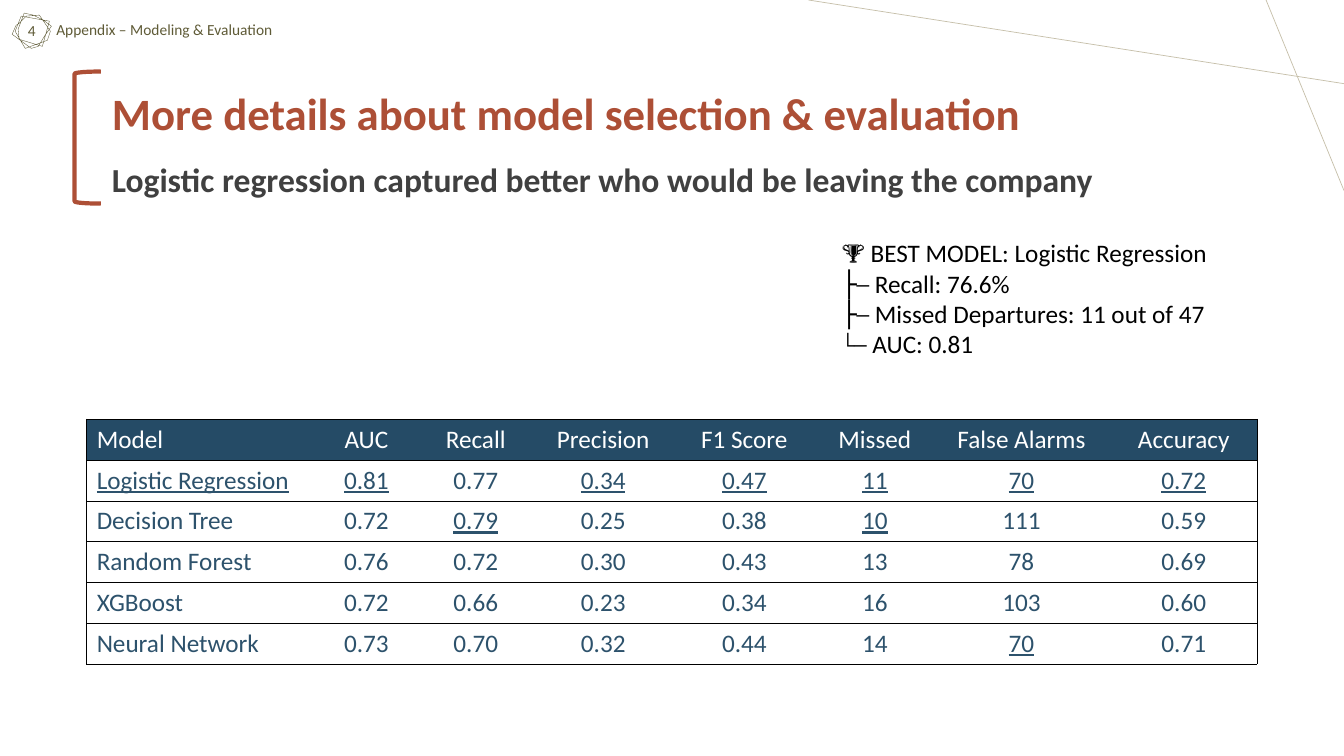
from dataclasses import dataclass

from lxml import etree
from pptx import Presentation
from pptx import util as u
from pptx.dml import color as dml
from pptx.enum import shapes, text
from pptx.oxml import ns

COLORS = {
    "rust": "AD4F36",
    "charcoal": "404040",
    "olive": "5F5B37",
    "sand": "C6BFA9",
    "navy": "254B66",
    "steel": "2D526C",
    "black": "000000",
    "white": "FFFFFF",
}
FONT = "Calibri"
GRID_COLUMNS, GRID_ROWS = 133.33, 75
SLIDE_WIDTH, SLIDE_HEIGHT = u.Emu(12192000), u.Emu(6858000)


@dataclass(frozen=True)
class Area:
    column: float
    row: float
    columns: float
    rows: float

    def box(self) -> tuple[int, int, int, int]:
        return across(self.column), down(self.row), across(self.columns), down(self.rows)


@dataclass(frozen=True)
class Ray:
    start: tuple[float, float]
    end: tuple[float, float]


@dataclass(frozen=True)
class ModelScore:
    model: str
    scores: tuple[str, ...]
    best: frozenset[int] = frozenset()


RAYS = [Ray((133.33, 8.3), (80.2, 0)), Ray((125.6, 0), (133.33, 18.9))]

METRICS = ("AUC", "Recall", "Precision", "F1 Score", "Missed", "False Alarms", "Accuracy")
METRIC_COLUMNS = (22.8, 9.9, 11.8, 13.5, 14.5, 11.4, 17.7, 14.5)
MODELS = [
    ModelScore("Logistic Regression", ("0.81", "0.77", "0.34", "0.47", "11", "70", "0.72"),
               frozenset({0, 1, 3, 4, 5, 6, 7})),
    ModelScore("Decision Tree", ("0.72", "0.79", "0.25", "0.38", "10", "111", "0.59"),
               frozenset({2, 5})),
    ModelScore("Random Forest", ("0.76", "0.72", "0.30", "0.43", "13", "78", "0.69")),
    ModelScore("XGBoost", ("0.72", "0.66", "0.23", "0.34", "16", "103", "0.60")),
    ModelScore("Neural Network", ("0.73", "0.70", "0.32", "0.44", "14", "70", "0.71"),
               frozenset({6})),
]

BEST_MODEL = [
    "🏆 BEST MODEL: Logistic Regression",
    "├─ Recall: 76.6%",
    "├─ Missed Departures: 11 out of 47",
    "└─ AUC: 0.81",
]

BADGE_POINTS = [
    (26, 16), (18, 24), (16, 25), (12, 34), (31, 48), (38, 46), (44, 36), (51, 26),
    (43, 20), (33, 15), (24, 13), (18, 29), (19, 39), (42, 46), (49, 21), (21, 16),
    (15, 31), (25, 48), (47, 40), (50, 31), (39, 15),
]


def across(columns: float) -> int:
    return round(SLIDE_WIDTH * columns / GRID_COLUMNS)


def down(rows: float) -> int:
    return round(SLIDE_HEIGHT * rows / GRID_ROWS)


def rgb(name: str) -> dml.RGBColor:
    return dml.RGBColor.from_string(COLORS[name])


def write(paragraph, content: str, *, size: float, color: str, bold: bool = False,
          underline: bool = False, centered: bool = False) -> None:
    paragraph.alignment = text.PP_ALIGN.CENTER if centered else text.PP_ALIGN.LEFT
    run = paragraph.add_run()
    run.text = content
    run.font.name = FONT
    run.font.size = u.Pt(size)
    run.font.bold = bold
    run.font.underline = underline
    run.font.color.rgb = rgb(color)


def add_ray(slide, ray: Ray) -> None:
    (x1, y1), (x2, y2) = ray.start, ray.end
    line = slide.shapes.add_connector(
        shapes.MSO_CONNECTOR.STRAIGHT, across(x1), down(y1), across(x2), down(y2))
    line.line.color.rgb = rgb("sand")
    line.line.width = u.Pt(0.5)
    etree.SubElement(line._element.spPr, ns.qn("a:effectLst"))


def outline(shape, color: str, width: float) -> None:
    shape.shadow.inherit = False
    shape.fill.background()
    shape.line.color.rgb = rgb(color)
    shape.line.width = u.Pt(width)


def add_lines(slide, area: Area, lines: list[str], *, size: float, color: str) -> None:
    frame = slide.shapes.add_textbox(*area.box()).text_frame
    frame.word_wrap = True
    frame.auto_size = text.MSO_AUTO_SIZE.SHAPE_TO_FIT_TEXT
    for index, content in enumerate(lines):
        paragraph = frame.add_paragraph() if index else frame.paragraphs[0]
        write(paragraph, content, size=size, color=color)


def add_heading(slide) -> None:
    heading = slide.shapes.title
    heading.left, heading.top, heading.width, heading.height = Area(10.1, 5.3, 109.1, 14.5).box()
    frame = heading.text_frame
    frame.word_wrap = True
    frame.auto_size = text.MSO_AUTO_SIZE.SHAPE_TO_FIT_TEXT
    frame.vertical_anchor = text.MSO_ANCHOR.TOP
    paragraph = frame.paragraphs[0]
    paragraph.line_spacing = 1.5
    write(paragraph, "More details about model selection & evaluation",
          size=32, color="rust", bold=True)
    paragraph.add_line_break()
    write(paragraph, "Logistic regression captured better who would be leaving the company",
          size=24, color="charcoal", bold=True)


def add_bracket(slide) -> None:
    bracket = slide.shapes.add_shape(
        shapes.MSO_SHAPE.LEFT_BRACKET, *Area(7.4, 7.1, 2.6, 13.1).box())
    outline(bracket, "rust", 3)


def add_page_badge(slide) -> None:
    builder = slide.shapes.build_freeform(*BADGE_POINTS[0], scale=u.Inches(0.01))
    builder.add_line_segments(BADGE_POINTS[1:], close=True)
    badge = builder.convert_to_shape()
    outline(badge, "olive", 0.25)
    frame = badge.text_frame
    frame.word_wrap = False
    frame.vertical_anchor = text.MSO_ANCHOR.MIDDLE
    write(frame.paragraphs[0], "4", size=11, color="olive", centered=True)


def set_borders(cell, visible: set[str]) -> None:
    properties = cell._tc.get_or_add_tcPr()
    for side in "LRTB":
        border = etree.SubElement(properties, ns.qn(f"a:ln{side}"), w=str(u.Pt(0.5)))
        if side in visible:
            fill = etree.SubElement(border, ns.qn("a:solidFill"))
            etree.SubElement(fill, ns.qn("a:srgbClr"), val=COLORS["black"])
        else:
            etree.SubElement(border, ns.qn("a:noFill"))


def add_scores(slide) -> None:
    records = [ModelScore("Model", METRICS), *MODELS]
    area = Area(8.6, 41.6, sum(METRIC_COLUMNS), 24.3)
    table = slide.shapes.add_table(len(records), len(METRIC_COLUMNS), *area.box()).table
    table.horz_banding = False
    for column, width in zip(table.columns, METRIC_COLUMNS):
        column.width = across(width)
    last = len(METRIC_COLUMNS) - 1
    for r, record in enumerate(records):
        header = r == 0
        for c, content in enumerate((record.model, *record.scores)):
            cell = table.cell(r, c)
            cell.vertical_anchor = text.MSO_ANCHOR.MIDDLE
            set_borders(cell, {"T", "B"} | ({"L"} if c == 0 else set())
                        | ({"R"} if c == last else set()))
            if header:
                cell.fill.solid()
                cell.fill.fore_color.rgb = rgb("navy")
            else:
                cell.fill.background()
            write(cell.text_frame.paragraphs[0], content, size=18,
                  color="white" if header else "steel",
                  underline=c in record.best, centered=c > 0)


def main() -> None:
    deck = Presentation()
    deck.slide_width, deck.slide_height = SLIDE_WIDTH, SLIDE_HEIGHT
    slide = deck.slides.add_slide(deck.slide_layouts[5])
    for ray in RAYS:
        add_ray(slide, ray)
    add_heading(slide)
    add_bracket(slide)
    add_scores(slide)
    add_lines(slide, Area(82.5, 23.1, 42.9, 13.1), BEST_MODEL, size=18, color="black")
    add_page_badge(slide)
    add_lines(slide, Area(4.6, 1.5, 31.8, 2.9), ["Appendix – Modeling & Evaluation"],
              size=11, color="olive")
    deck.save("out.pptx")


if __name__ == "__main__":
    main()
